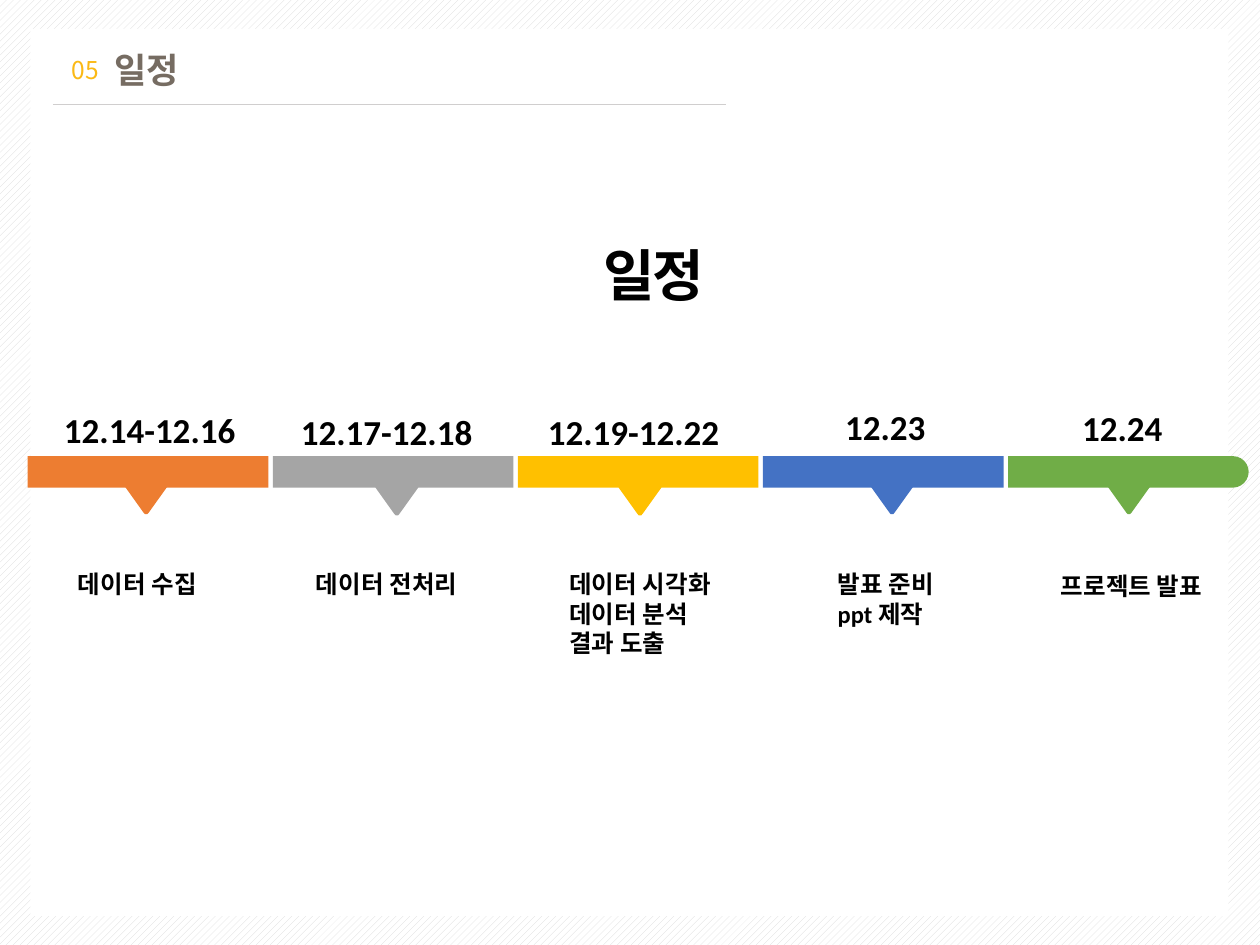
from lxml.etree import SubElement
from pptx import Presentation
from pptx.dml.color import RGBColor
from pptx.enum.dml import MSO_PATTERN
from pptx.enum.shapes import MSO_CONNECTOR, MSO_SHAPE
from pptx.enum.text import MSO_ANCHOR, PP_ALIGN
from pptx.oxml.ns import qn
from pptx.util import Inches, Pt

COLORS = {
    "white": "FFFFFF", "black": "000000", "stripe": "D9D9D9", "rule": "D0CECE",
    "number": "FBB915", "heading": "766C62",
    "orange": "ED7D31", "gray": "A5A5A5", "yellow": "FFC000",
    "blue": "4472C4", "green": "70AD47",
}
LATIN, KOREAN = "Calibri", "Noto Sans CJK KR"


def paint(shape, color):
    shape.shadow.inherit = False
    shape.fill.solid()
    shape.fill.fore_color.rgb = RGBColor.from_string(COLORS[color])
    shape.line.fill.background()


def add_text(box, lines, size, color="black", bold=True, font=LATIN,
             align=PP_ALIGN.LEFT, wrap=True, header=False, spacing=None):
    """Add a text box; a header has no margins and is centred vertically."""
    frame = slide.shapes.add_textbox(*map(Inches, box)).text_frame
    frame.word_wrap = wrap
    if header:
        frame.margin_left = frame.margin_right = 0
        frame.margin_top = frame.margin_bottom = 0
        frame.vertical_anchor = MSO_ANCHOR.MIDDLE
    for index, line in enumerate(lines):
        paragraph = frame.paragraphs[0] if index == 0 else frame.add_paragraph()
        paragraph.alignment = align
        if header:
            paragraph.line_spacing = 0.9
        run = paragraph.add_run()
        run.text = line
        run.font.size = Pt(size)
        run.font.bold = bold
        run.font.name = font
        run.font.color.rgb = RGBColor.from_string(COLORS[color])
        properties = run.font._element
        SubElement(properties, qn("a:ea")).set("typeface", font)
        if spacing is not None:
            properties.set("spc", str(int(spacing * 100)))


presentation = Presentation()
presentation.slide_width = Inches(10)
presentation.slide_height = Inches(7.5)
slide = presentation.slides.add_slide(presentation.slide_layouts[6])

# Striped background, white panel and header
background = slide.background.fill
background.patterned()
background.pattern = MSO_PATTERN.WIDE_UPWARD_DIAGONAL
background.fore_color.rgb = RGBColor.from_string(COLORS["stripe"])
background.back_color.rgb = RGBColor.from_string(COLORS["white"])

panel = slide.shapes.add_shape(
    MSO_SHAPE.RECTANGLE, Inches(0.24), Inches(0.23), Inches(9.51), Inches(7.04))
paint(panel, "white")

rule = slide.shapes.add_connector(
    MSO_CONNECTOR.STRAIGHT, Inches(0.42), Inches(0.83), Inches(5.76), Inches(0.83))
rule.line.color.rgb = RGBColor.from_string(COLORS["rule"])
rule.line.width = Pt(0.25)
SubElement(rule._element.spPr, qn("a:effectLst"))

add_text((0.48, 0.42, 0.39, 0.29), ["05"], 14, "number", bold=False,
         font=KOREAN, align=PP_ALIGN.CENTER, header=True)
add_text((0.88, 0.42, 0.57, 0.3), ["일정"], 20, "heading",
         font=KOREAN, align=PP_ALIGN.CENTER, header=True)
add_text((3.11, 1.86, 4.16, 0.64), ["일정"], 32, align=PP_ALIGN.CENTER, spacing=-1.5)

# Timeline: colour, pointer tip (x, top), date box, date, task box, tasks
STAGES = [
    ("orange", (1.16, 3.82), (0.41, 3.19, 1.77, 0.44), "12.14-12.16",
     (0.52, 4.47, 1.32, 0.34), ["데이터 수집"]),
    ("gray", (3.15, 3.83), (2.29, 3.21, 1.77, 0.44), "12.17-12.18",
     (2.41, 4.47, 1.47, 0.34), ["데이터 전처리"]),
    ("yellow", (5.08, 3.83), (4.25, 3.21, 1.77, 0.44), "12.19-12.22",
     (4.42, 4.47, 1.44, 0.81), ["데이터 시각화", "데이터 분석", "결과 도출"]),
    ("blue", (7.08, 3.82), (6.61, 3.17, 0.93, 0.44), "12.23",
     (6.55, 4.47, 1.09, 0.57), ["발표 준비", "ppt 제작"]),
    ("green", (8.96, 3.82), (8.49, 3.18, 0.93, 0.44), "12.24",
     (8.32, 4.48, 1.49, 0.34), ["프로젝트 발표"]),
]
BAR_LEFT, BAR_TOP, BAR_WIDTH, BAR_HEIGHT, BAR_STEP = 0.22, 3.62, 1.91, 0.25, 1.945
# Right half of the pointer, from its top edge to its blunt tip
POINTER_HALF = [(0.15, 0), (0.17, 0.01), (0.17, 0.04), (0.02, 0.25), (0.01, 0.26)]
POINTER = POINTER_HALF + [(-x, y) for x, y in reversed(POINTER_HALF)]

for index, (color, tip, date_box, date, task_box, tasks) in enumerate(STAGES):
    left = BAR_LEFT + index * BAR_STEP
    if index < len(STAGES) - 1:
        bar = slide.shapes.add_shape(
            MSO_SHAPE.RECTANGLE, Inches(left), Inches(BAR_TOP),
            Inches(BAR_WIDTH), Inches(BAR_HEIGHT))
    else:
        # The last bar stands upright, then turns so its round end points right
        offset = (BAR_WIDTH - BAR_HEIGHT) / 2
        bar = slide.shapes.add_shape(
            MSO_SHAPE.ROUND_2_SAME_RECTANGLE, Inches(left + offset),
            Inches(BAR_TOP - offset), Inches(BAR_HEIGHT), Inches(BAR_WIDTH))
        bar.adjustments[0] = 0.5
        bar.adjustments[1] = 0
        bar.rotation = 90
    paint(bar, color)

    points = [(Inches(tip[0] + x), Inches(tip[1] + y)) for x, y in POINTER]
    builder = slide.shapes.build_freeform(*points[0])
    builder.add_line_segments(points[1:], close=True)
    paint(builder.convert_to_shape(), color)

    add_text(date_box, [date], 20, wrap=False)
    add_text(task_box, tasks, 14)

presentation.save("out.pptx")
